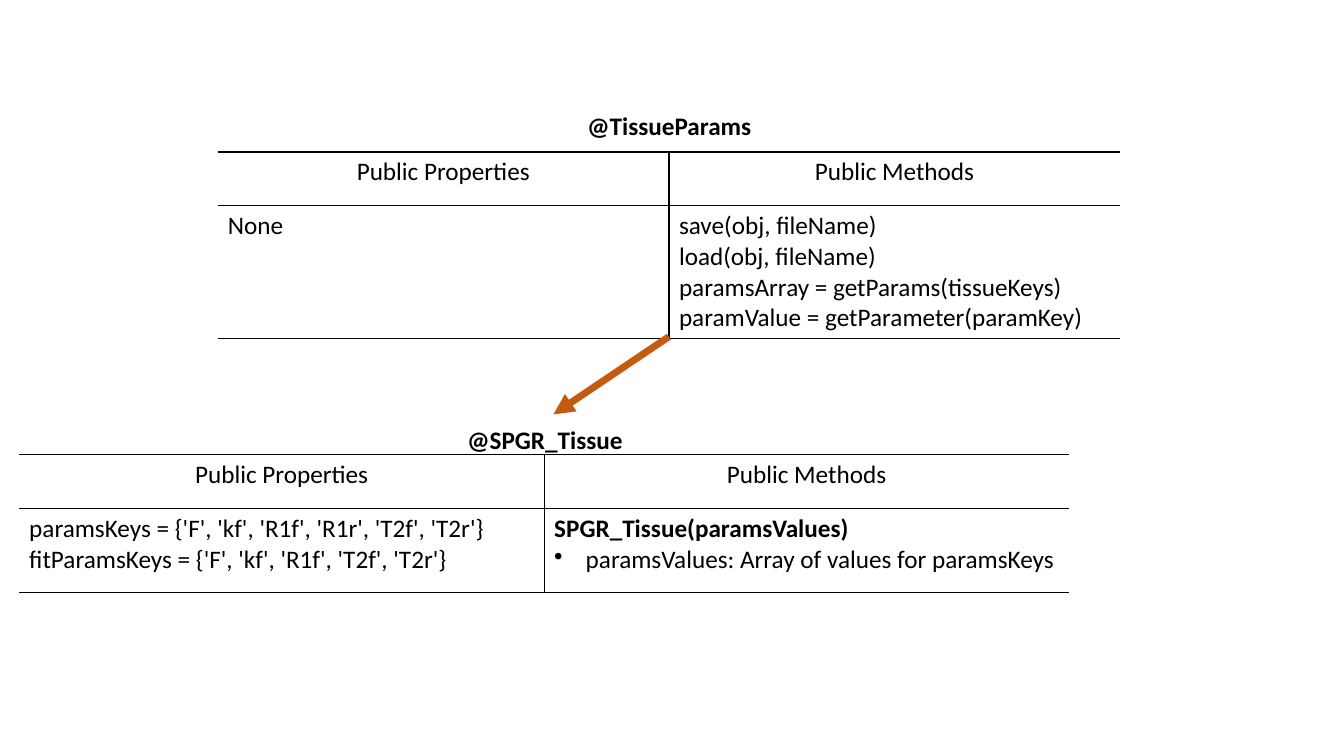
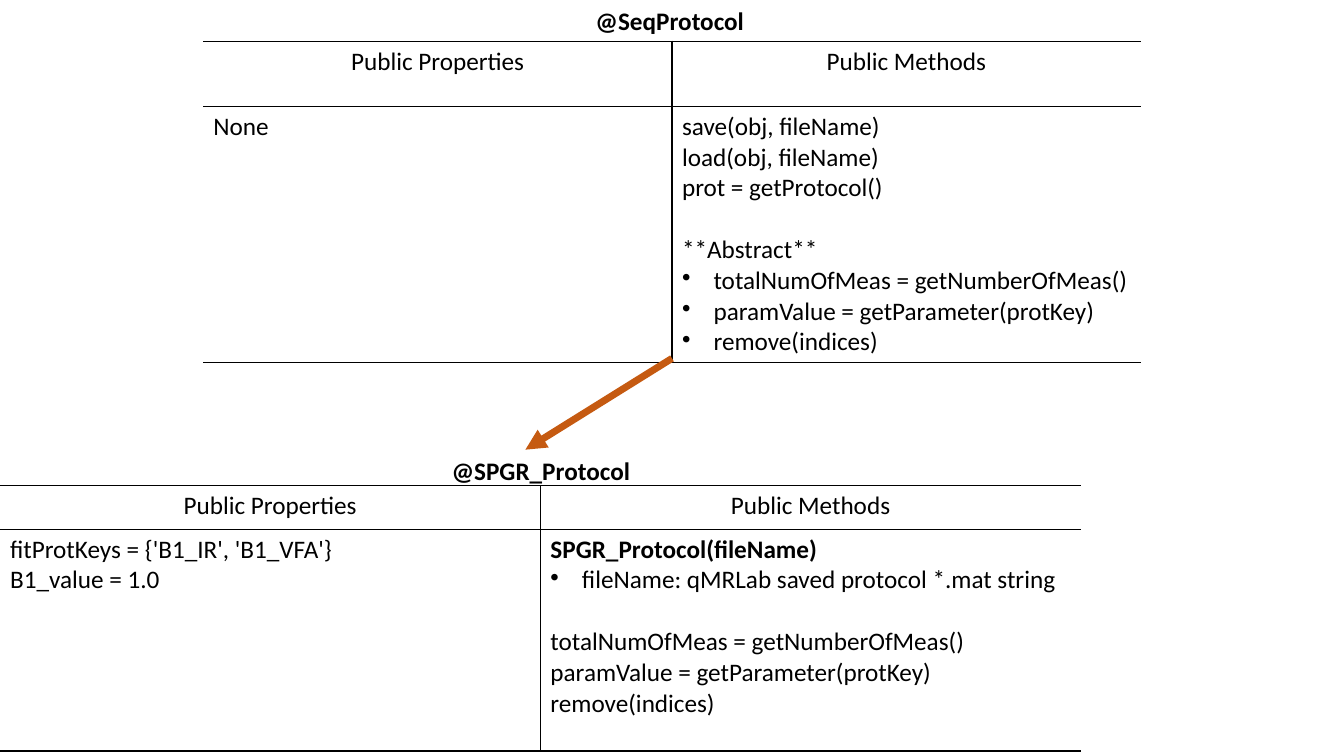
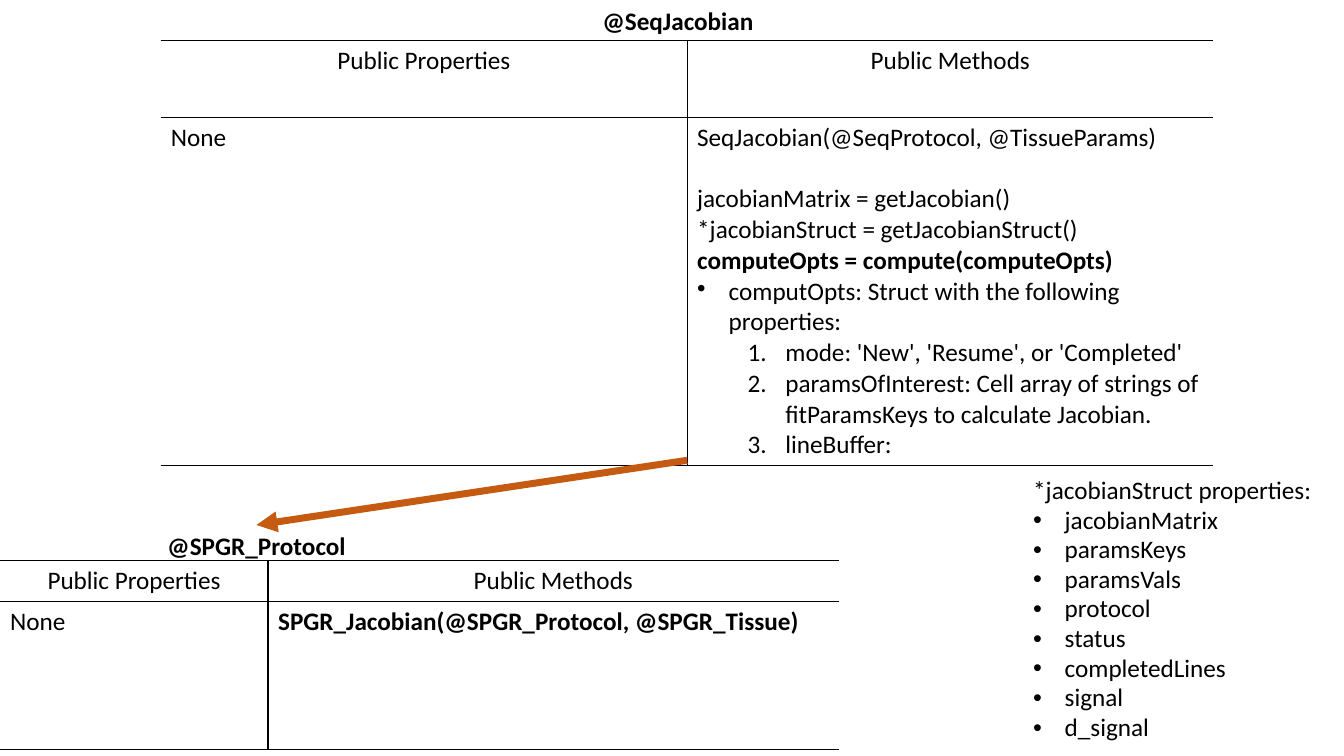
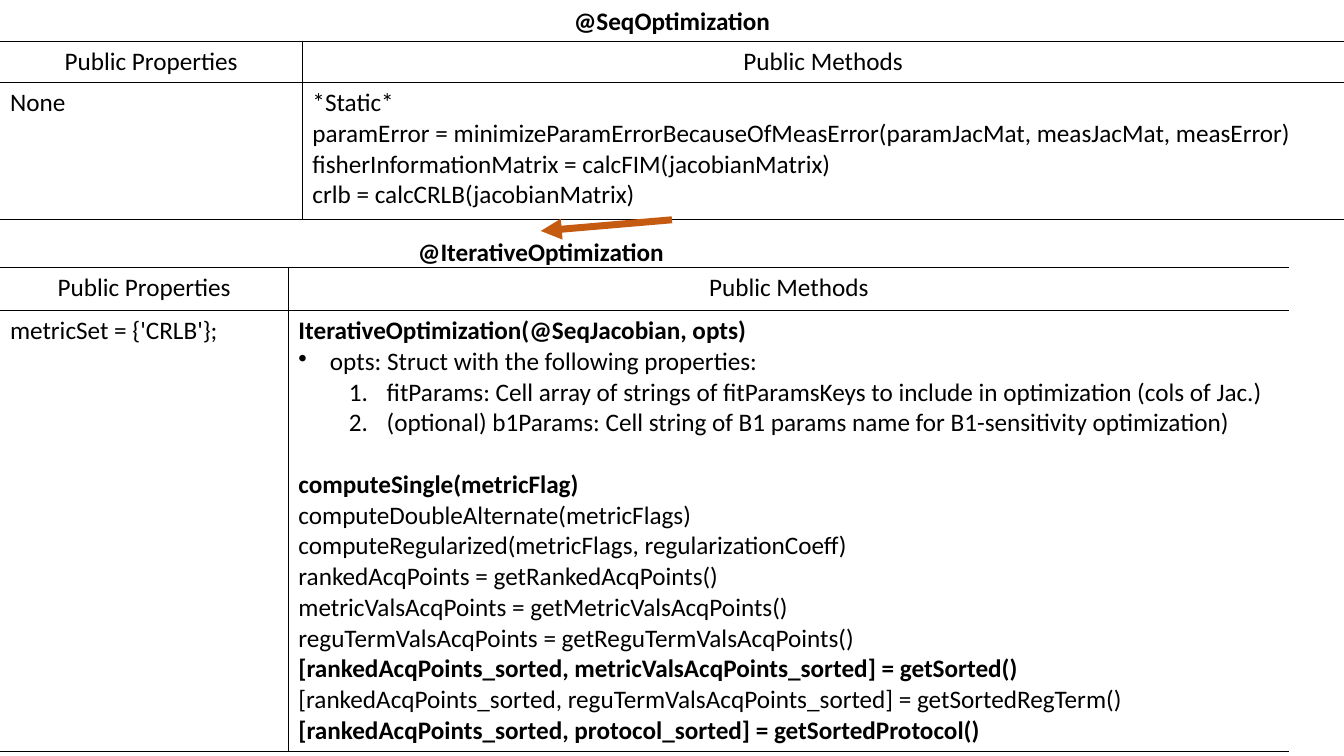
"""Class diagrams of an optimisation library, one base class and its child per slide."""
import lxml.etree
import pptx
import pptx.dml.color
import pptx.enum.shapes
import pptx.enum.text
import pptx.oxml.ns
import pptx.util

Pt = pptx.util.Pt
Align = pptx.enum.text.PP_ALIGN


def color(code):
    """Turn a hex string into a colour."""
    return pptx.dml.color.RGBColor.from_string(code)


def add_element(parent, tag, **attributes):
    """Append a drawing element to a parent."""
    return lxml.etree.SubElement(parent, pptx.oxml.ns.qn(tag), attributes)


class Diagram:
    """Hold the style and the current page, and draw each kind of element."""

    FONT = "Calibri"
    SIZE = 18
    LINE_HEIGHT = 22
    INK = "000000"
    ARROW = "C55A11"
    TITLE_ONLY = 5
    TITLE_AND_BODY = 1
    MARKS = {
        "plain": (0, 0, 0, "a:buNone", {}),
        "bullet": (0, 22.5, -22.5, "a:buChar", {"char": "•"}),
        "number": (1, 63, -27, "a:buAutoNum", {"type": "arabicPeriod"}),
    }

    def __init__(self):
        """Open an empty widescreen deck."""
        self.deck = pptx.Presentation()
        self.deck.slide_width, self.deck.slide_height = Pt(960), Pt(540)
        self.page = None

    def new_page(self, layout=TITLE_ONLY):
        """Add a page and make it current."""
        self.page = self.deck.slides.add_slide(self.deck.slide_layouts[layout])

    def set_lines(self, frame, lines, align=Align.LEFT, line_spacing=1.0):
        """Fill a text frame with lines, each a string or a tuple of text and flags."""
        for index, line in enumerate(lines):
            text, *flags = (line,) if isinstance(line, str) else line
            para = frame.paragraphs[0] if index == 0 else frame.add_paragraph()
            para.text = text
            mark = next((flag for flag in flags if flag in self.MARKS), "plain")
            level, margin, indent, tag, attributes = self.MARKS[mark]
            para.level = level
            properties = para._p.get_or_add_pPr()
            properties.set("marL", str(Pt(margin)))
            properties.set("indent", str(Pt(indent)))
            add_element(properties, tag, **attributes)
            para.alignment = align
            para.line_spacing = line_spacing
            para.space_before = Pt(self.LINE_HEIGHT if "gap" in flags else 0)
            font = para.font
            font.name, font.size = self.FONT, Pt(self.SIZE)
            font.bold = "bold" in flags
            font.color.rgb = color(self.INK)

    def place(self, box, left, top, width, height):
        """Move a text box or placeholder and fix its frame."""
        box.left, box.top, box.width, box.height = map(Pt, (left, top, width, height))
        frame = box.text_frame
        frame.word_wrap = True
        frame.auto_size = pptx.enum.text.MSO_AUTO_SIZE.NONE
        frame.vertical_anchor = pptx.enum.text.MSO_ANCHOR.TOP
        return frame

    def title(self, text, center, top=0):
        """Put the base class name in the title placeholder."""
        frame = self.place(self.page.shapes.title, center - 100, top, 200, 29)
        self.set_lines(frame, [(text, "bold")], Align.CENTER)

    def body(self, lines, left, top, width, height):
        """Put a list in the body placeholder."""
        frame = self.place(self.page.placeholders[1], left, top, width, height)
        self.set_lines(frame, lines, line_spacing=0.98)

    def label(self, text, center, top, width=145):
        """Put the child class name in a text box."""
        box = self.page.shapes.add_textbox(0, 0, 0, 0)
        frame = self.place(box, center - width / 2, top, width, 51)
        self.set_lines(frame, [(text, "bold")], Align.CENTER)
        return box

    def border(self, cell, sides):
        """Rule the named sides of a cell and clear the others."""
        properties = cell._tc.get_or_add_tcPr()
        for side in "LRTB":
            line = add_element(properties, f"a:ln{side}", w=str(Pt(1)))
            if side in sides:
                fill = add_element(line, "a:solidFill")
                add_element(fill, "a:srgbClr", val=self.INK)
            else:
                add_element(line, "a:noFill")

    def members(self, left, top, widths, heights, properties, methods):
        """Draw the table of a class's public members."""
        frame = self.page.shapes.add_table(
            2, 2, Pt(left), Pt(top), Pt(sum(widths)), Pt(sum(heights)))
        table = frame.table
        table.first_row = table.horz_banding = False
        for column, width in zip(table.columns, widths):
            column.width = Pt(width)
        for row, height in zip(table.rows, heights):
            row.height = Pt(height)
        contents = ((["Public Properties"], ["Public Methods"]), (properties, methods))
        for row, pair in enumerate(contents):
            for column, lines in enumerate(pair):
                cell = table.cell(row, column)
                self.border(cell, ("RTB", "LTB")[column])
                cell.fill.background()
                self.set_lines(cell.text_frame, lines, Align.LEFT if row else Align.CENTER)
        return frame

    def arrow(self, base, child=None, end=(0, 0)):
        """Point from the bottom of a table to a label or a free end."""
        line = self.page.shapes.add_connector(
            pptx.enum.shapes.MSO_CONNECTOR.STRAIGHT, 0, 0, Pt(end[0]), Pt(end[1]))
        line.begin_connect(base, 2)
        if child is not None:
            line.end_connect(child, 0)
        line.line.width = Pt(5)
        line.line.color.rgb = color(self.ARROW)
        add_element(line.line._get_or_add_ln(), "a:tailEnd", type="triangle")
        add_element(line._element.spPr, "a:effectLst")


def tissue_page(diagram):
    """Draw the tissue parameter classes."""
    diagram.new_page()
    diagram.title("@TissueParams", 478, 75)
    diagram.label("@SPGR_Tissue", 389.2, 299.5)
    base = diagram.members(155.5, 108.5, (322.3, 322.3), (38.4, 93.6), ["None"], [
        "save(obj, fileName)",
        "load(obj, fileName)",
        "paramsArray = getParams(tissueKeys)",
        "paramValue = getParameter(paramKey)",
    ])
    diagram.members(13.7, 324.7, (375, 375), (38.4, 60), [
        "paramsKeys = {'F', 'kf', 'R1f', 'R1r', 'T2f', 'T2r'}",
        "fitParamsKeys = {'F', 'kf', 'R1f', 'T2f', 'T2r'}",
    ], [
        ("SPGR_Tissue(paramsValues)", "bold"),
        ("paramsValues: Array of values for paramsKeys", "bullet"),
    ])
    diagram.arrow(base, end=(395.3, 296))


def protocol_page(diagram):
    """Draw the protocol classes."""
    diagram.new_page()
    diagram.title("@SeqProtocol", 478.4)
    diagram.label("@SPGR_Protocol", 386.3, 321.8)
    base = diagram.members(145.2, 29.5, (334.8, 334.8), (46.5, 180), ["None"], [
        "save(obj, fileName)",
        "load(obj, fileName)",
        "prot = getProtocol()",
        ("**Abstract**", "gap"),
        ("totalNumOfMeas = getNumberOfMeas()", "bullet"),
        ("paramValue = getParameter(protKey)", "bullet"),
        ("remove(indices)", "bullet"),
    ])
    diagram.members(0, 347, (386, 386), (31, 158.5), [
        "fitProtKeys = {'B1_IR', 'B1_VFA'}",
        "B1_value = 1.0",
    ], [
        ("SPGR_Protocol(fileName)", "bold"),
        ("fileName: qMRLab saved protocol *.mat string", "bullet"),
        ("totalNumOfMeas = getNumberOfMeas()", "gap"),
        "paramValue = getParameter(protKey)",
        "remove(indices)",
    ])
    diagram.arrow(base, end=(375.3, 321.2))


def jacobian_page(diagram):
    """Draw the Jacobian classes and the list of struct properties."""
    diagram.new_page(Diagram.TITLE_AND_BODY)
    diagram.title("@SeqJacobian", 484.2)
    child = diagram.label("@SPGR_Protocol", 183.2, 375)
    base = diagram.members(114.8, 28.8, (376, 376), (55, 245), ["None"], [
        "SeqJacobian(@SeqProtocol, @TissueParams)",
        ("jacobianMatrix = getJacobian()", "gap"),
        "*jacobianStruct = getJacobianStruct()",
        ("computeOpts = compute(computeOpts)", "bold"),
        ("computOpts: Struct with the following properties:", "bullet"),
        ("mode: 'New', 'Resume', or 'Completed'", "number"),
        ("paramsOfInterest: Cell array of strings of fitParamsKeys "
         "to calculate Jacobian.", "number"),
        ("lineBuffer:", "number"),
    ])
    diagram.members(0, 400.3, (191.5, 407.5), (28.8, 106), ["None"], [
        ("SPGR_Jacobian(@SPGR_Protocol, @SPGR_Tissue)", "bold"),
    ])
    names = ("jacobianMatrix", "paramsKeys", "paramsVals", "protocol", "status",
             "completedLines", "signal", "d_signal")
    diagram.body(["*jacobianStruct properties:"] + [(name, "bullet") for name in names],
                 730.8, 336.2, 215.3, 203.8)
    diagram.arrow(base, child)


def optimization_page(diagram):
    """Draw the optimisation classes."""
    diagram.new_page()
    diagram.title("@SeqOptimization", 480)
    child = diagram.label("@IterativeOptimization", 386.3, 165, 198)
    base = diagram.members(0, 29.5, (216, 744), (29.5, 98), ["None"], [
        "*Static*",
        "paramError = minimizeParamErrorBecauseOfMeasError"
        "(paramJacMat, measJacMat, measError)",
        "fisherInformationMatrix = calcFIM(jacobianMatrix)",
        "crlb = calcCRLB(jacobianMatrix)",
    ])
    diagram.members(0, 190.8, (206, 715), (31, 309.5), ["metricSet = {'CRLB'};"], [
        ("IterativeOptimization(@SeqJacobian, opts)", "bold"),
        ("opts: Struct with the following properties:", "bullet"),
        ("fitParams: Cell array of strings of fitParamsKeys "
         "to include in optimization (cols of Jac.)", "number"),
        ("(optional) b1Params: Cell string of B1 params name "
         "for B1-sensitivity optimization)", "number"),
        ("computeSingle(metricFlag)", "bold", "gap"),
        "computeDoubleAlternate(metricFlags)",
        "computeRegularized(metricFlags, regularizationCoeff)",
        "rankedAcqPoints = getRankedAcqPoints()",
        "metricValsAcqPoints = getMetricValsAcqPoints()",
        "reguTermValsAcqPoints = getReguTermValsAcqPoints()",
        ("[rankedAcqPoints_sorted, metricValsAcqPoints_sorted] = getSorted()", "bold"),
        "[rankedAcqPoints_sorted, reguTermValsAcqPoints_sorted] = getSortedRegTerm()",
        ("[rankedAcqPoints_sorted, protocol_sorted] = getSortedProtocol()", "bold"),
    ])
    diagram.arrow(base, child)


def main():
    """Build the deck and save it."""
    diagram = Diagram()
    for draw in (tissue_page, protocol_page, jacobian_page, optimization_page):
        draw(diagram)
    diagram.deck.save("out.pptx")


if __name__ == "__main__":
    main()
